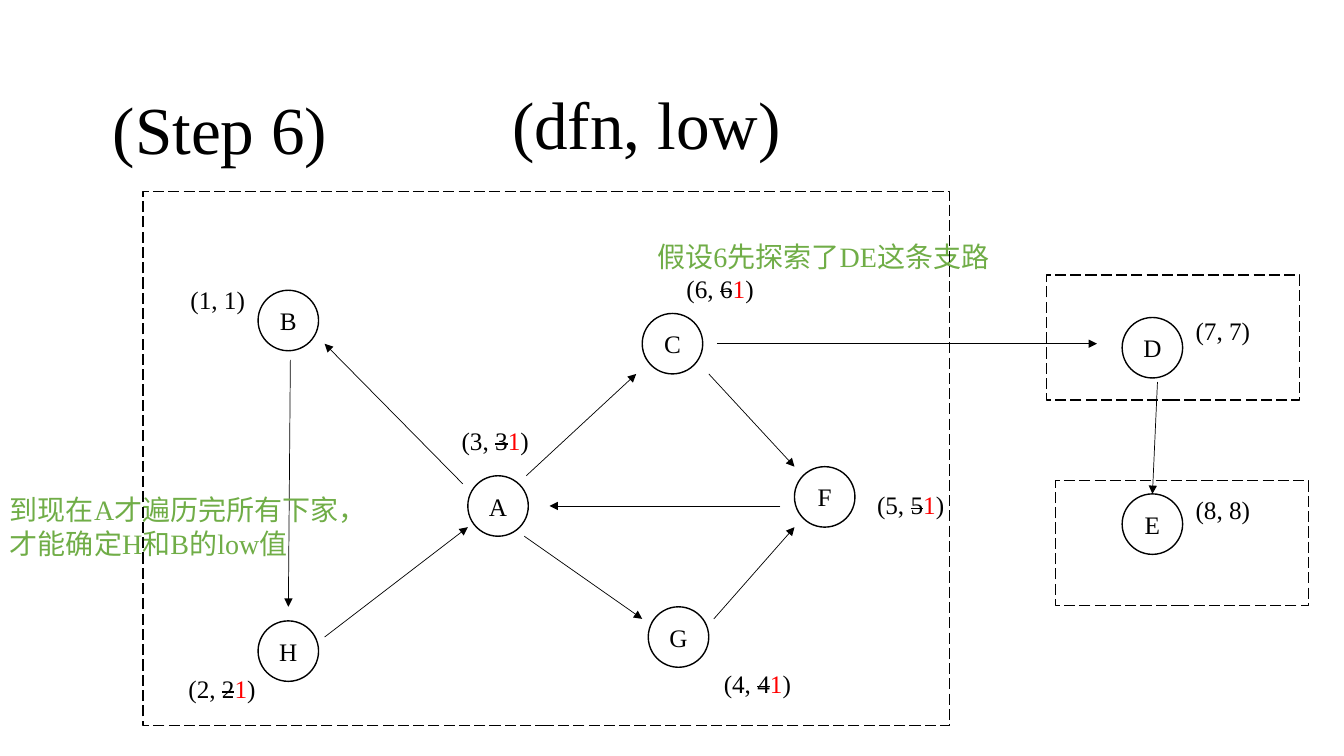
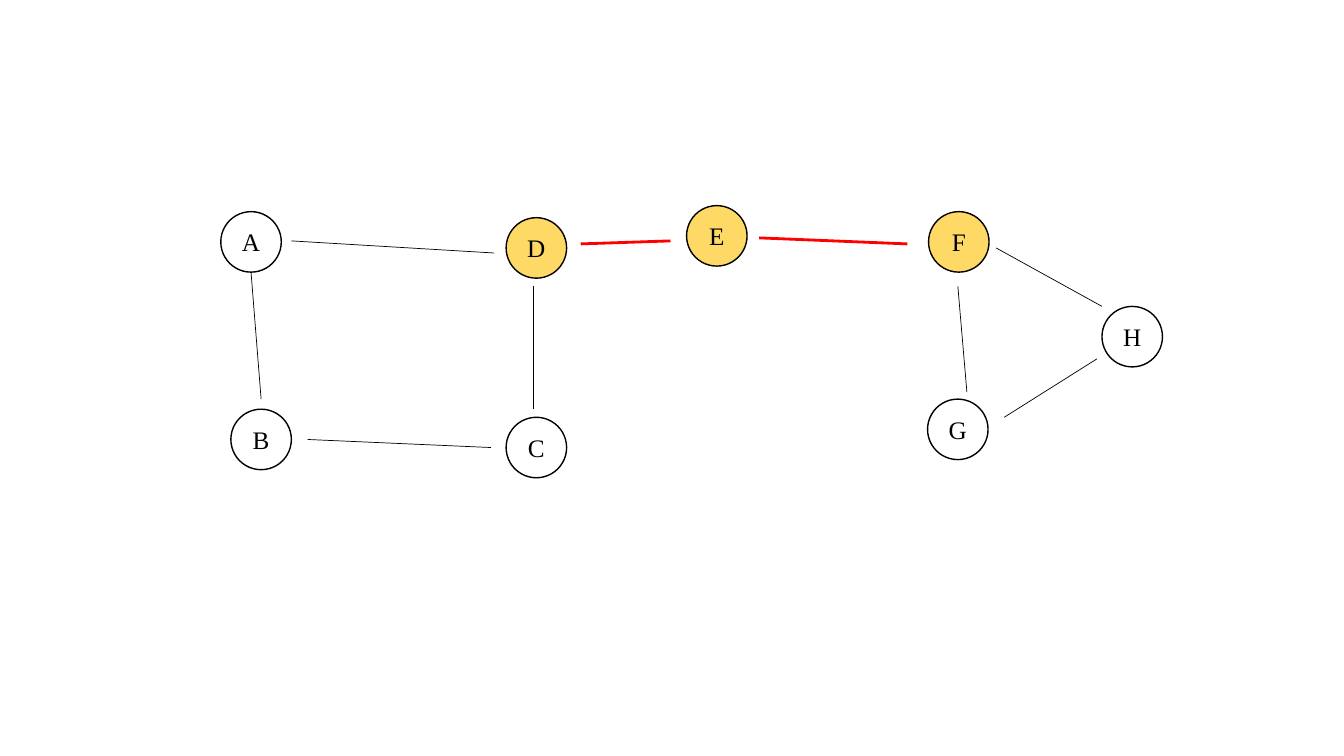
from lxml import etree
from pptx import Presentation
from pptx.dml.color import RGBColor
from pptx.enum.dml import MSO_LINE
from pptx.enum.shapes import MSO_CONNECTOR, MSO_SHAPE
from pptx.enum.text import MSO_ANCHOR, PP_ALIGN
from pptx.oxml.ns import qn
from pptx.util import Inches, Pt

FONT = "Times New Roman"
COLORS = {"ink": "000000", "red": "FF0000", "green": "70AD47", "gold": "FFD966"}
NODE = 0.6  # circle diameter

# Content, in inches
DIRECTED = {
    "nodes": {"H": (2.56, 6.16), "B": (2.56, 2.88), "A": (4.64, 4.72),
              "G": (6.43, 6.02), "F": (7.88, 4.63), "C": (6.37, 3.11),
              "D": (11.13, 3.15), "E": (11.13, 4.9)},
    "edges": [((4.59, 4.8), (3.22, 3.41)), ((3.22, 6.32), (4.64, 5.23)),
              ((2.88, 3.57), (2.86, 6.02)), ((7.74, 5.02), (5.45, 5.02)),
              ((5.22, 4.72), (6.31, 3.71)), ((5.2, 5.32), (6.37, 6.14)),
              ((7.08, 6.14), (7.88, 5.23)), ((7.03, 3.71), (7.88, 4.63)),
              ((7.11, 3.41), (10.88, 3.41)), ((11.48, 3.79), (11.43, 4.9))],
}
TITLES = [("(dfn, low)", (4.98, 0.77, 2.89, 0.91)),
          ("(Step 6)", (1.02, 0.82, 2.42, 0.91))]
# dfn, final low, left, top; a low that differs from dfn replaces it
TIMES = [(1, 1, 1.79, 2.77), (2, 1, 1.77, 6.63), (3, 1, 4.48, 4.17),
         (4, 1, 7.08, 6.58), (5, 1, 8.6, 4.81), (6, 1, 6.71, 2.66),
         (7, 7, 11.76, 3.08), (8, 8, 11.76, 4.86)]
NOTES = [(["假设6先探索了DE这条支路"], (6.42, 2.33, 3.52, 0.44)),
         (["到现在A才遍历完所有下家，", "才能确定H和B的low值"], (0, 4.84, 3.77, 0.77))]
COMPONENTS = [(10.38, 2.73, 2.51, 1.24), (10.47, 4.77, 2.51, 1.24),
              (1.42, 1.9, 8, 5.3)]

UNDIRECTED = {
    "nodes": {"A": (2.19, 2.1), "B": (2.29, 4.06), "C": (5.02, 4.14),
              "D": (5.02, 2.16), "E": (6.81, 2.04), "H": (10.93, 3.04),
              "G": (9.2, 3.96), "F": (9.21, 2.1)},
    "edges": [((4.87, 4.44), (3.05, 4.36)), ((2.59, 3.96), (2.49, 2.7)),
              ((4.9, 2.51), (2.89, 2.39)), ((5.29, 4.06), (5.29, 2.84)),
              ((9.96, 4.14), (10.88, 3.56)), ((10.93, 3.04), (9.88, 2.46)),
              ((9.59, 3.89), (9.5, 2.84))],
    "bridges": [((6.65, 2.39), (5.76, 2.42)), ((9, 2.42), (7.53, 2.36))],
    "cut_nodes": "DEF",
}


def rgb(name):
    return RGBColor.from_string(COLORS[name])


def add_run(p, text, size=18, color="ink", strike=False):
    r = p.add_run()
    r.text = text
    for key, value in {"name": FONT, "size": Pt(size)}.items():
        setattr(r.font, key, value)
    r.font.color.rgb = rgb(color)
    if strike:
        r._r.get_or_add_rPr().set("strike", "sngStrike")


def add_text(s, box, paragraphs, wrap=False):
    """Each paragraph is a list of run argument dicts."""
    tf = s.shapes.add_textbox(*map(Inches, box)).text_frame
    tf.word_wrap = wrap
    for i, runs in enumerate(paragraphs):
        p = tf.add_paragraph() if i else tf.paragraphs[0]
        for run in runs:
            add_run(p, **run)


def add_outline(s, kind, box, fill=None, dash=None):
    sp = s.shapes.add_shape(kind, *map(Inches, box))
    sp.shadow.inherit = False
    if fill:
        sp.fill.solid()
        sp.fill.fore_color.rgb = rgb(fill)
    else:
        sp.fill.background()
    sp.line.color.rgb = rgb("ink")
    sp.line.width = Pt(1)
    if dash:
        sp.line.dash_style = dash
    return sp


def add_edge(s, start, end, color="ink", width=0.5, arrow=False):
    line = s.shapes.add_connector(MSO_CONNECTOR.STRAIGHT, *map(Inches, start + end))
    line.line.color.rgb = rgb(color)
    line.line.width = Pt(width)
    if arrow:
        ln = line.line._get_or_add_ln()
        etree.SubElement(ln, qn("a:tailEnd"), type="triangle")
    etree.SubElement(line._element.spPr, qn("a:effectLst"))


def add_graph(s, graph, arrow=False):
    for name, at in graph["nodes"].items():
        fill = "gold" if name in graph.get("cut_nodes", "") else None
        tf = add_outline(s, MSO_SHAPE.OVAL, at + (NODE, NODE), fill).text_frame
        tf.vertical_anchor = MSO_ANCHOR.MIDDLE
        p = tf.paragraphs[0]
        p.alignment = PP_ALIGN.CENTER
        add_run(p, name)
    for start, end in graph["edges"]:
        add_edge(s, start, end, arrow=arrow)
    for start, end in graph.get("bridges", []):
        add_edge(s, start, end, "red", 2)


def time_runs(dfn, low):
    if dfn == low:
        return [{"text": f"({dfn}, {low})"}]
    return [{"text": f"({dfn}, "}, {"text": str(dfn), "strike": True},
            {"text": str(low), "color": "red"}, {"text": ")"}]


def build_step(s):
    add_graph(s, DIRECTED, arrow=True)
    for text, box in TITLES:
        add_text(s, box, [[{"text": text, "size": 48}]])
    for dfn, low, left, top in TIMES:
        width = 0.75 if dfn == low else 0.88
        add_text(s, (left, top, width, 0.4), [time_runs(dfn, low)])
    for lines, box in NOTES:
        add_text(s, box, [[{"text": t, "size": 20, "color": "green"}] for t in lines],
                 wrap=True)
    for box in COMPONENTS:
        add_outline(s, MSO_SHAPE.RECTANGLE, box, dash=MSO_LINE.LONG_DASH)


def main():
    prs = Presentation()
    prs.slide_width, prs.slide_height = Inches(13.33), Inches(7.5)
    blank = prs.slide_layouts[6]
    build_step(prs.slides.add_slide(blank))
    add_graph(prs.slides.add_slide(blank), UNDIRECTED)
    prs.save("out.pptx")


if __name__ == "__main__":
    main()
